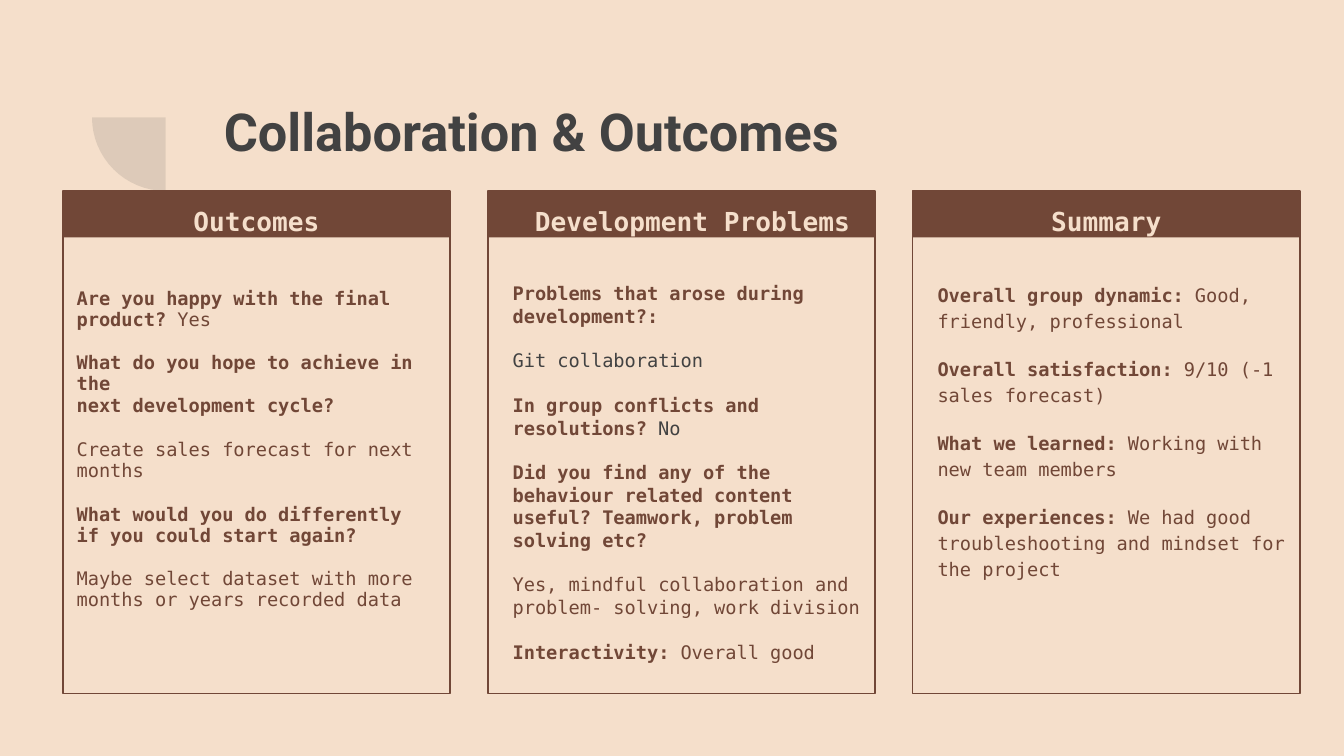
from math import cos, pi, sin

from lxml import etree
from pptx import Presentation
from pptx.dml.color import RGBColor
from pptx.enum.shapes import MSO_SHAPE
from pptx.enum.text import MSO_ANCHOR, MSO_AUTO_SIZE, PP_ALIGN
from pptx.oxml.ns import qn
from pptx.util import Cm, Pt

RECT = MSO_SHAPE.RECTANGLE
TOP = MSO_ANCHOR.TOP
NO_FIT = MSO_AUTO_SIZE.NONE
LEFT, CENTER = PP_ALIGN.LEFT, PP_ALIGN.CENTER

COLORS = {"cream": "F5DFCB", "brown": "714737", "gray": "424242"}
MONO, SANS = "DejaVu Sans Mono", "Roboto"

CARD_LEFT, CARD_PITCH, CARD_WIDTH = 1.19, 8.03, 7.32
CARD_TOP, CARD_HEIGHT, HEADER_HEIGHT = 3.61, 9.5, 0.88

HEADERS = [("Outcomes", CENTER, 0), ("Development Problems", LEFT, 0.89), ("Summary", CENTER, 0)]

BOLD, PLAIN, GRAY = (True, "brown"), (False, "brown"), (False, "gray")

OUTCOMES = [
    (0, 11.4, [("Are you happy with the final product? ", BOLD), ("Yes", PLAIN)]),
    (11.1, 11.7, [("What do you hope to achieve in the", BOLD)]),
    (0, 11.7, [("next development cycle?", BOLD)]),
    (12, 11.4, [("Create sales forecast for next months", PLAIN)]),
    (12, 11.4, [("What would you do differently if you could start again?", BOLD)]),
]
RESTART = [(0, 0.95, [("Maybe select dataset with more months or years recorded data", PLAIN)])]
PROBLEMS = [
    (0, 1.0, [("Problems that arose during development?:", BOLD)]),
    (12, 1.0, [("Git collaboration", GRAY)]),
    (12, 1.0, [("In group conflicts and resolutions? ", BOLD), ("No", GRAY)]),
    (12, 1.0, [("Did you find any of the behaviour related content useful? "
                "Teamwork, problem solving etc?", BOLD)]),
    (12, 1.0, [("Yes, mindful collaboration and problem- solving, work division", PLAIN)]),
    (12, 1.0, [("Interactivity: ", BOLD), ("Overall good", PLAIN)]),
]
SUMMARY = [
    (0, 1.15, [("Overall group dynamic: ", BOLD), ("Good, friendly, professional", PLAIN)]),
    (12, 1.15, [("Overall satisfaction: ", BOLD), ("9/10 (-1 sales forecast)", PLAIN)]),
    (12, 1.15, [("What we learned: ", BOLD), ("Working with new team members", PLAIN)]),
    (12, 1.15, [("Our experiences: ", BOLD),
                ("We had good troubleshooting and mindset for the project", PLAIN)]),
]


class Deck:
    def __init__(self, slide):
        self.s = slide
        fill = slide.background.fill
        fill.solid()
        fill.fore_color.rgb = self.color("cream")

    def color(self, name):
        return RGBColor.from_string(COLORS[name])

    def frame(self, sp, left=0, top=0):
        tf = sp.text_frame
        tf.word_wrap = True
        tf.auto_size = NO_FIT
        tf.vertical_anchor = TOP
        tf.margin_left, tf.margin_top = Cm(left), Cm(top)
        tf.margin_right = tf.margin_bottom = 0
        return tf

    def font(self, font, name, size, color, bold):
        font.name, font.size, font.bold = name, Pt(size), bold
        font.color.rgb = self.color(color)

    def line(self, tf, text, align, name, size, color):
        p = tf.paragraphs[0]
        p.text = text
        p.alignment = align
        self.font(p.font, name, size, color, True)

    def title(self, text, x, y, w, h):
        sp = self.s.shapes.title
        sp.left, sp.top, sp.width, sp.height = Cm(x), Cm(y), Cm(w), Cm(h)
        self.line(self.frame(sp), text, CENTER, SANS, 28, "gray")

    def quarter_disc(self, x, y, radius, steps=16):
        angles = [pi / 2 * (1 + i / steps) for i in range(steps + 1)]
        arc = [(Cm(x + radius * cos(a)), Cm(y + radius * sin(a))) for a in angles]
        builder = self.s.shapes.build_freeform(Cm(x), Cm(y))
        builder.add_line_segments(arc, close=True)
        sp = builder.convert_to_shape()
        sp.shadow.inherit = False
        sp.line.fill.background()
        sp.fill.solid()
        sp.fill.fore_color.rgb = self.color("gray")
        rgb = sp.fill._xPr.find(".//" + qn("a:srgbClr"))
        etree.SubElement(rgb, qn("a:alpha")).set("val", "13000")

    def rect(self, x, y, w, h):
        sp = self.s.shapes.add_shape(RECT, Cm(x), Cm(y), Cm(w), Cm(h))
        sp.shadow.inherit = False
        return sp

    def card(self, x, header, align, indent):
        sp = self.rect(x, CARD_TOP, CARD_WIDTH, CARD_HEIGHT)
        sp.fill.background()
        sp.line.color.rgb = self.color("brown")
        sp.line.width = Pt(0.79)
        sp = self.rect(x, CARD_TOP, CARD_WIDTH, HEADER_HEIGHT)
        sp.fill.solid()
        sp.fill.fore_color.rgb = self.color("brown")
        sp.line.fill.background()
        self.line(self.frame(sp, indent, 0.28), header, align, MONO, 14, "cream")

    def text(self, x, y, w, h, paragraphs, left=0, top=0.03):
        sp = self.s.shapes.add_textbox(Cm(x), Cm(y), Cm(w), Cm(h))
        tf = self.frame(sp, left, top)
        for i, (before, spacing, runs) in enumerate(paragraphs):
            p = tf.add_paragraph() if i else tf.paragraphs[0]
            p.space_before = Pt(before)
            p.line_spacing = Pt(spacing) if spacing > 2 else spacing
            for words, (bold, color) in runs:
                r = p.add_run()
                r.text = words
                self.font(r.font, MONO, 10, color, bold)


def main():
    prs = Presentation()
    prs.slide_width, prs.slide_height = Cm(25.4), Cm(14.29)
    deck = Deck(prs.slides.add_slide(prs.slide_layouts[5]))
    deck.quarter_disc(3.13, 2.22, 1.39)
    deck.title("Collaboration & Outcomes", 3.84, 1.87, 12.4, 2.4)
    for i, (header, align, indent) in enumerate(HEADERS):
        deck.card(CARD_LEFT + i * CARD_PITCH, header, align, indent)
    deck.text(1.45, 5.36, 6.45, 4.14, OUTCOMES, top=0.08)
    deck.text(1.45, 10.69, 6.63, 0.86, RESTART, top=0.05)
    deck.text(9.24, 5.3, 7.26, 6.4, PROBLEMS, left=0.45)
    deck.text(17.27, 5.28, 7.26, 5.69, SUMMARY, left=0.45)
    prs.save("out.pptx")


if __name__ == "__main__":
    main()
